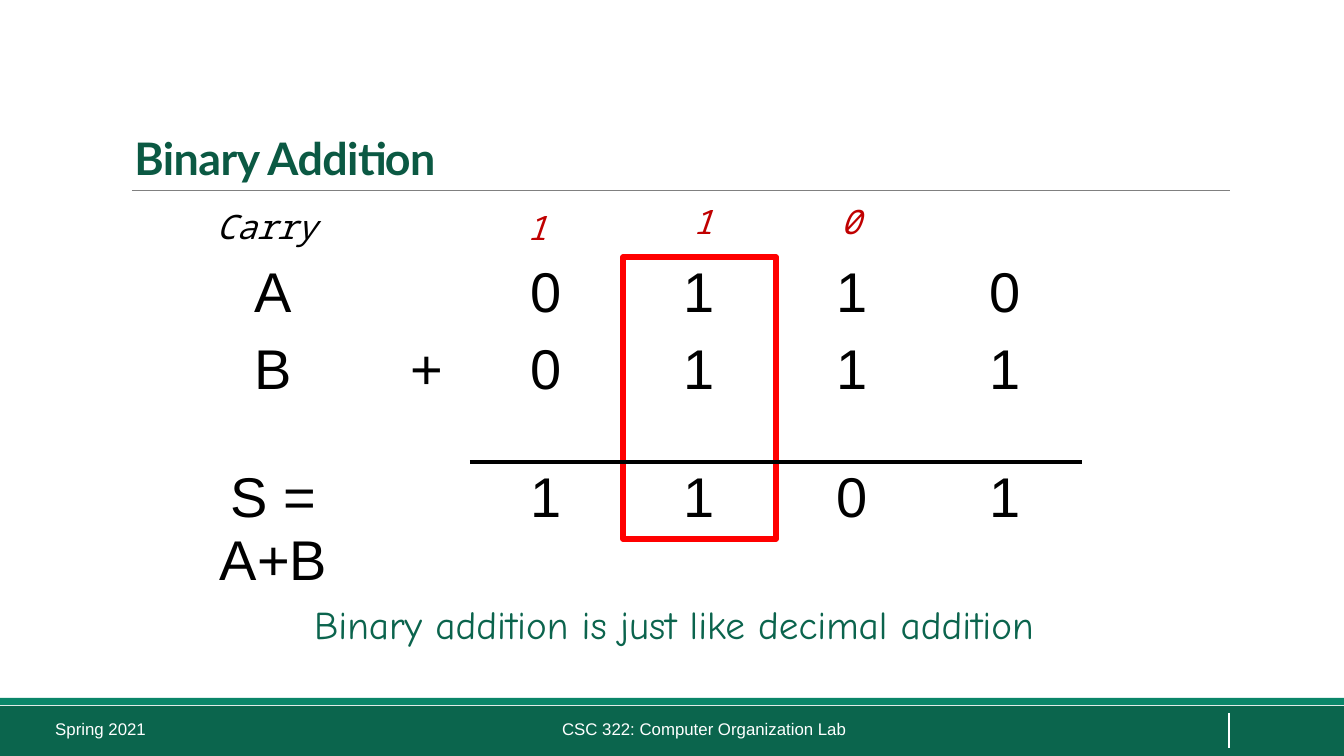
from lxml import etree
from pptx import Presentation
from pptx.dml.color import RGBColor
from pptx.enum.shapes import MSO_CONNECTOR, MSO_SHAPE
from pptx.enum.text import MSO_ANCHOR, MSO_AUTO_SIZE, PP_ALIGN
from pptx.oxml import parse_xml
from pptx.oxml.ns import nsdecls, qn
from pptx.util import Emu, Pt

LEFT, CENTER, RIGHT = PP_ALIGN.LEFT, PP_ALIGN.CENTER, PP_ALIGN.RIGHT
BOTTOM = MSO_ANCHOR.BOTTOM
FIXED = MSO_AUTO_SIZE.NONE
RECTANGLE = MSO_SHAPE.RECTANGLE
STRAIGHT = MSO_CONNECTOR.STRAIGHT
PLAIN_TABLE = "{2D5ABB26-0587-4C30-8999-92F81FD0307C}"

EMU_PER_PX = 914400 / 134.4
TABLE_LEFT, TABLE_TOP = 164, 257
DIGIT_WIDTH, ROW_HEIGHT, GAP_HEIGHT = 153, 77, 51
COLUMNS = [219, 87] + [DIGIT_WIDTH] * 4


def px(length):
    return Emu(round(length * EMU_PER_PX))


def color(code):
    return RGBColor.from_string(code)


def write(paragraph, text, size, font, code, align=LEFT, bold=False, italic=False):
    paragraph.alignment = align
    run = paragraph.add_run()
    run.text = text
    run.font.size = Pt(size)
    run.font.name = font
    run.font.color.rgb = color(code)
    run.font.bold = bold
    run.font.italic = italic
    return run


def add_text(slide, box, text, size, font, code, align=LEFT, wrap=False, italic=False):
    frame = slide.shapes.add_textbox(*map(px, box)).text_frame
    frame.word_wrap = wrap
    write(frame.paragraphs[0], text, size, font, code, align, italic=italic)


def add_rectangle(slide, box, fill=None, outline=None, width=0):
    rectangle = slide.shapes.add_shape(RECTANGLE, *map(px, box))
    rectangle.shadow.inherit = False
    if fill:
        rectangle.fill.solid()
        rectangle.fill.fore_color.rgb = color(fill)
    else:
        rectangle.fill.background()
    if outline:
        rectangle.line.color.rgb = color(outline)
        rectangle.line.width = Pt(width)
    else:
        rectangle.line.fill.background()


def add_line(slide, ends, code, width):
    line = slide.shapes.add_connector(STRAIGHT, *map(px, ends))
    line.line.color.rgb = color(code)
    line.line.width = Pt(width)
    etree.SubElement(line._element.spPr, qn("a:effectLst"))


def add_border(cell, side):
    border = parse_xml(
        f'<a:{side} {nsdecls("a")} w="28575"><a:solidFill>'
        f'<a:srgbClr val="000000"/></a:solidFill></a:{side}>')
    cell._tc.get_or_add_tcPr().insert(0, border)


def add_sum_table(slide, top, heights, rows):
    frame = slide.shapes.add_table(
        len(rows), len(COLUMNS), px(TABLE_LEFT), px(top), px(sum(COLUMNS)), px(sum(heights)))
    table = frame.table
    table.first_row = table.horz_banding = False
    table._tbl.tblPr.find(qn("a:tableStyleId")).text = PLAIN_TABLE
    for column, width in zip(table.columns, COLUMNS):
        column.width = px(width)
    for r, (height, row) in enumerate(zip(heights, rows)):
        table.rows[r].height = px(height)
        for c, text in enumerate(row):
            cell = table.cell(r, c)
            cell.fill.background()
            cell.margin_left = cell.margin_right = px(10)
            cell.margin_top = cell.margin_bottom = px(5)
            if text:
                write(cell.text_frame.paragraphs[0], text, 30, "Arial", "000000", CENTER)
    return table


def add_title(slide, text):
    title = slide.shapes.title
    title.left, title.top, title.width, title.height = map(px, (121, 31, 1109, 160))
    frame = title.text_frame
    frame.auto_size = FIXED
    frame.vertical_anchor = BOTTOM
    heading = frame.paragraphs[0]
    heading.line_spacing = 0.85
    run = write(heading, text, 24, "Lato", "0B5943", bold=True)
    run._r.get_or_add_rPr().set("spc", "-30")


def main():
    presentation = Presentation()
    presentation.slide_width, presentation.slide_height = px(1344), px(756)
    slide = presentation.slides.add_slide(presentation.slide_layouts[5])

    # Footer bands and rules
    add_rectangle(slide, (0, 706, 1344, 50), fill="0B654D")
    add_line(slide, (132, 191, 1230, 191), "808080", 0.5)
    add_rectangle(slide, (0, 698, 1344, 7), fill="0A8669")
    add_line(slide, (1229, 713, 1229, 748), "FFFFFF", 1)

    add_title(slide, "Binary Addition")

    # Operands, highlighted column and sum
    add_sum_table(slide, TABLE_TOP, [ROW_HEIGHT] * 2,
                  [["A", "", *"0110"], ["B", "+", *"0111"]])
    highlight_left = TABLE_LEFT + sum(COLUMNS[:3])
    add_rectangle(slide, (highlight_left, TABLE_TOP, DIGIT_WIDTH, 282),
                  outline="FF0000", width=3)
    result = add_sum_table(slide, TABLE_TOP + 2 * ROW_HEIGHT, [GAP_HEIGHT, ROW_HEIGHT],
                           [[""] * 6, ["S = A+B", "", *"1101"]])
    for digit in range(2, 6):
        add_border(result.cell(0, digit), "lnB")
        add_border(result.cell(1, digit), "lnT")

    add_text(slide, (162, 594, 1024, 60), "Binary addition is just like decimal addition",
             21, "Comic Neue", "0B644D", CENTER)

    # Carry digits
    for left, top, carry in [(827, 194, "0"), (679, 194, "1"), (513, 200, "1")]:
        add_text(slide, (left, top, 47, 54), carry,
                 18, "Noto Sans Mono", "C00000", RIGHT, italic=True)
    add_text(slide, (202, 199, 129, 54), "Carry",
             18, "Noto Sans Mono", "000000", CENTER, italic=True)

    # Footer text
    add_text(slide, (42, 712, 273, 40), "Spring 2021", 9, "Arial", "FFFFFF", wrap=True)
    add_text(slide, (356, 712, 696, 51), "CSC 322: Computer Organization Lab",
             9, "Arial", "FFFFFF", CENTER, wrap=True)

    presentation.save("out.pptx")


if __name__ == "__main__":
    main()
